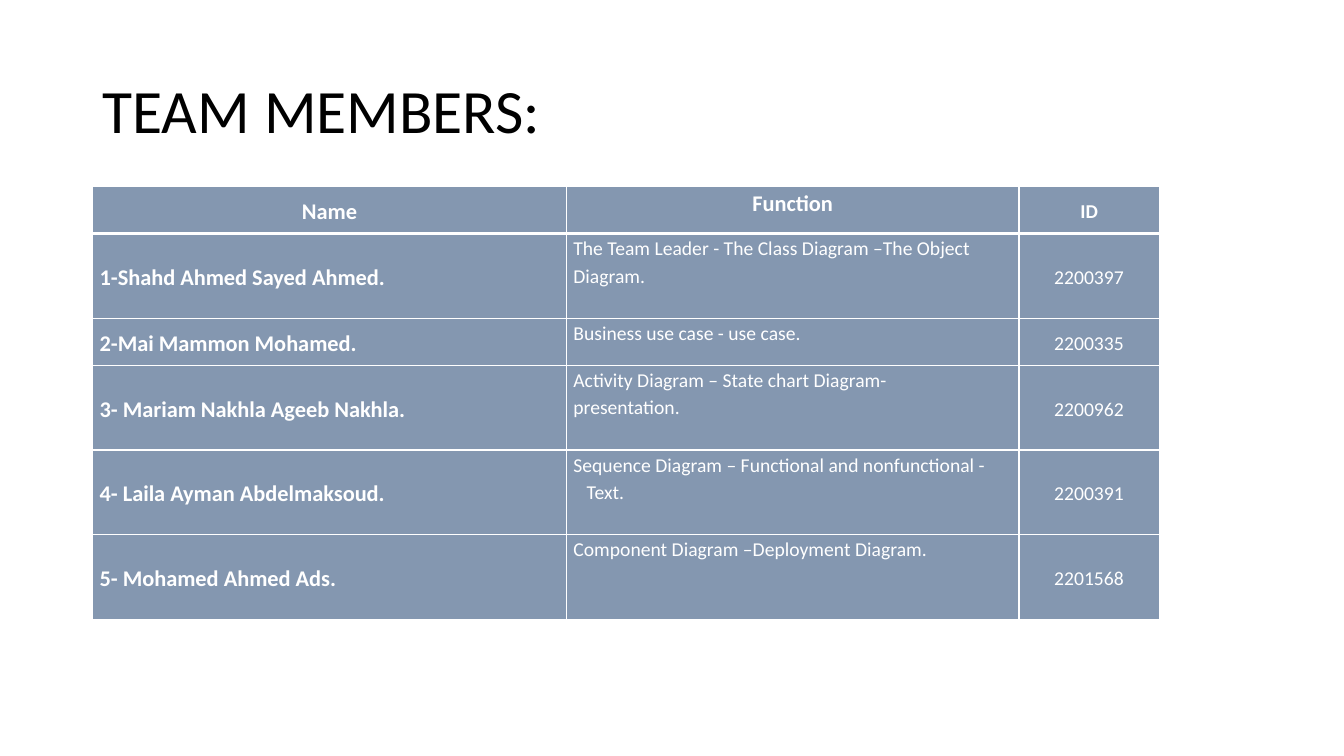
import pptx
import pptx.dml.color
import pptx.enum.text
import pptx.oxml
import pptx.oxml.ns
import pptx.util
from dataclasses import dataclass

Pt = pptx.util.Pt
ALIGN = pptx.enum.text.PP_ALIGN
ANCHOR = pptx.enum.text.MSO_ANCHOR


@dataclass(frozen=True)
class Theme:
    font: str = "Calibri"
    title_color: str = "000000"
    cell_fill: str = "8497B0"
    cell_text: str = "FFFFFF"
    border: str = "FFFFFF"
    title_size: int = 44
    name_size: int = 16
    detail_size: int = 14


THEME = Theme()

HEADERS = ("Name", "Function", "ID")
# Function paragraphs are (text, left indent); \v is a line break
MEMBERS = [
    ("1-Shahd Ahmed Sayed Ahmed.",
     [("The Team Leader - The Class Diagram –The Object Diagram.", 0)], "2200397"),
    ("2-Mai Mammon Mohamed.",
     [("Business use case - use case.", 0)], "2200335"),
    ("3- Mariam Nakhla Ageeb Nakhla.",
     [("Activity Diagram – State chart Diagram-\vpresentation.", 0)], "2200962"),
    ("4- Laila Ayman Abdelmaksoud.",
     [("Sequence Diagram – Functional and nonfunctional -", 0), ("Text.", 9.5)], "2200391"),
    ("5- Mohamed Ahmed Ads.",
     [("Component Diagram –Deployment Diagram.", 0)], "2201568"),
]
COLUMN_WIDTHS = (338.4, 323.3, 100.1)
SHORT_ROW, TALL_ROW = 33.6, 60.5
ROW_HEIGHTS = (SHORT_ROW, TALL_ROW, SHORT_ROW, TALL_ROW, TALL_ROW, TALL_ROW)


def write(p, text, size, color, bold=False, align=ALIGN.LEFT, spacing=1.15, indent=0):
    """Fill one paragraph with formatted text."""
    p.text = text
    p.alignment = align
    p.line_spacing = spacing
    p.space_before = p.space_after = Pt(0)
    if indent:
        p._p.get_or_add_pPr().set("marL", str(Pt(indent)))
    for r in p.runs:
        r.font.name = THEME.font
        r.font.size = Pt(size)
        r.font.bold = bold
        r.font.color.rgb = pptx.dml.color.RGBColor.from_string(color)


def set_borders(cell, top, bottom):
    """Draw the four cell edges; these come before the fill in the XML."""
    tcPr = cell._tc.get_or_add_tcPr()
    edges = (("lnL", 1), ("lnR", 1), ("lnT", top), ("lnB", bottom))
    for i, (tag, width) in enumerate(edges):
        tcPr.insert(i, pptx.oxml.parse_xml(
            f'<a:{tag} {pptx.oxml.ns.nsdecls("a")} w="{Pt(width)}">'
            f'<a:solidFill><a:srgbClr val="{THEME.border}"/></a:solidFill></a:{tag}>'))


def fill_cell(cell, paragraphs, anchor, top=1, bottom=1, **fmt):
    cell.fill.solid()
    cell.fill.fore_color.rgb = pptx.dml.color.RGBColor.from_string(THEME.cell_fill)
    set_borders(cell, top, bottom)
    cell.margin_left = cell.margin_right = Pt(5)
    cell.margin_top = cell.margin_bottom = Pt(0)
    cell.vertical_anchor = anchor
    tf = cell.text_frame
    for i, (text, indent) in enumerate(paragraphs):
        p = tf.add_paragraph() if i else tf.paragraphs[0]
        write(p, text, color=THEME.cell_text, indent=indent, **fmt)


def add_title(s, text):
    sp = s.shapes.title
    sp.left, sp.top, sp.width, sp.height = Pt(66), Pt(28.8), Pt(828), Pt(104.4)
    tf = sp.text_frame
    tf.word_wrap = True
    tf.vertical_anchor = ANCHOR.MIDDLE
    write(tf.paragraphs[0], text, THEME.title_size, THEME.title_color, spacing=0.9)


def add_team_table(s):
    frame = s.shapes.add_table(len(ROW_HEIGHTS), len(COLUMN_WIDTHS), Pt(66.2), Pt(133.2),
                               Pt(sum(COLUMN_WIDTHS)), Pt(sum(ROW_HEIGHTS)))
    table = frame.table
    table.horz_banding = False
    for column, width in zip(table.columns, COLUMN_WIDTHS):
        column.width = Pt(width)
    for row, height in zip(table.rows, ROW_HEIGHTS):
        row.height = Pt(height)

    # Header row
    anchors = (ANCHOR.MIDDLE, ANCHOR.TOP, ANCHOR.MIDDLE)
    sizes = (THEME.name_size, THEME.name_size, THEME.detail_size)
    for col, (text, anchor, size) in enumerate(zip(HEADERS, anchors, sizes)):
        fill_cell(table.cell(0, col), [(text, 0)], anchor, bottom=3,
                  size=size, bold=True, align=ALIGN.CENTER)

    # Member rows
    for row, (name, functions, number) in enumerate(MEMBERS, 1):
        top = 3 if row == 1 else 1
        fill_cell(table.cell(row, 0), [(name, 0)], ANCHOR.MIDDLE, top,
                  size=THEME.name_size, bold=True)
        fill_cell(table.cell(row, 1), functions, ANCHOR.TOP, top, size=THEME.detail_size)
        fill_cell(table.cell(row, 2), [(number, 0)], ANCHOR.MIDDLE, top,
                  size=THEME.detail_size, align=ALIGN.CENTER)


def main():
    prs = pptx.Presentation()
    prs.slide_width, prs.slide_height = Pt(960), Pt(540)
    s = prs.slides.add_slide(prs.slide_layouts[5])  # Title Only
    add_title(s, "TEAM MEMBERS:")
    add_team_table(s)
    prs.save("out.pptx")


if __name__ == "__main__":
    main()
